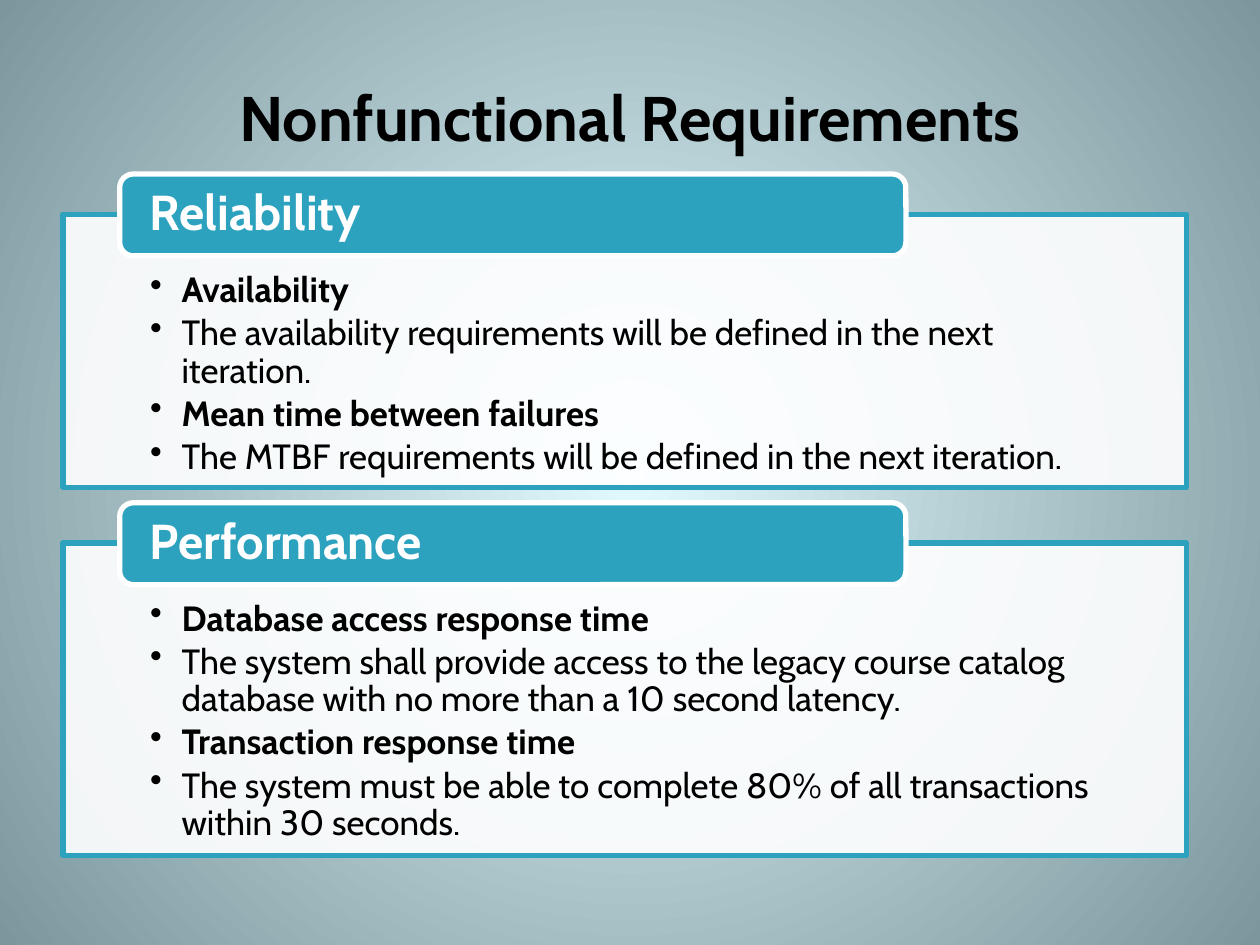
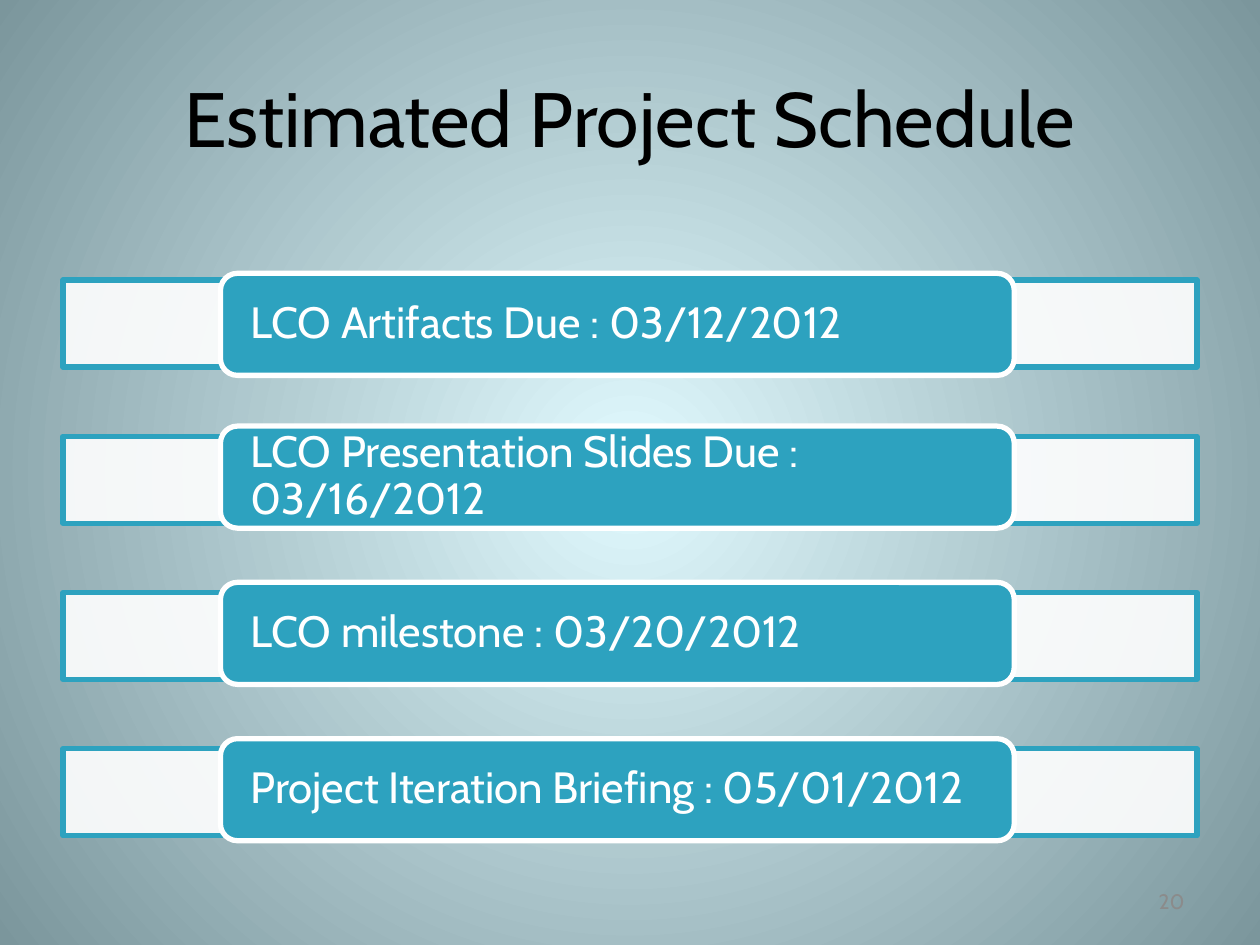
"""Build the requirements and schedule slides of a project presentation."""
from dataclasses import dataclass
from typing import Any

from lxml import etree
from pptx import Presentation
from pptx import util as u
from pptx.dml import color as c
from pptx.enum import shapes, text
from pptx.oxml import ns

COLORS = {
    "glow": "E1FAFF",
    "edge": "7B969C",
    "accent": "2DA2BF",
    "white": "FFFFFF",
    "black": "000000",
    "number": "8B8B8B",
}
FONT = "Cabin"
OUTLINE_WIDTH = 3
LABEL_INSET = 17.3
CORNER_INSET_RATIO = 0.05
MIDDLE = text.MSO_ANCHOR.MIDDLE


@dataclass(frozen=True)
class Box:
    left: float
    top: float
    width: float
    height: float

    def lengths(self) -> list[u.Length]:
        return [u.Pt(value) for value in (self.left, self.top, self.width, self.height)]


@dataclass(frozen=True)
class TextStyle:
    size: float
    color: str
    bold: bool = False
    align: Any = text.PP_ALIGN.LEFT
    line_spacing: float = 1.0
    space_after: float = 0


@dataclass(frozen=True)
class Requirement:
    name: str
    detail: str


@dataclass(frozen=True)
class Panel:
    heading: str
    height: float
    requirements: tuple[Requirement, ...]


@dataclass(frozen=True)
class Milestone:
    label: str
    card_rise: float = 5.8


TITLE_BOX = Box(36, 21.6, 648, 90)
NUMBER_BOX = Box(516, 500.5, 168, 28.8)
NUMBER_STYLE = TextStyle(12, "number", align=text.PP_ALIGN.RIGHT)
HEADING_STYLE = TextStyle(28, "white", True, line_spacing=0.9, space_after=9.8)
MILESTONE_STYLE = TextStyle(25, "white", line_spacing=0.9, space_after=8.75)

PANELS = (
    Panel("Reliability", 156.2, (
        Requirement("Availability",
                    "The availability requirements will be defined in the next iteration."),
        Requirement("Mean time between failures",
                    "The MTBF requirements will be defined in the next iteration."),
    )),
    Panel("Performance", 178.6, (
        Requirement("Database access response time",
                    "The system shall provide access to the legacy course catalog "
                    "database with no more than a 10 second latency."),
        Requirement("Transaction response time",
                    "The system must be able to complete 80% of all transactions "
                    "within 30 seconds."),
    )),
)
MILESTONES = (
    Milestone("LCO Artifacts Due : 03/12/2012", card_rise=3.8),
    Milestone("LCO Presentation Slides Due : 03/16/2012"),
    Milestone("LCO milestone : 03/20/2012"),
    Milestone("Project Iteration Briefing : 05/01/2012"),
)


def rgb(name: str) -> c.RGBColor:
    return c.RGBColor.from_string(COLORS[name])


def apply_format(target: Any, values: dict[str, Any]) -> None:
    for name, value in values.items():
        setattr(target, name, value)


def write(paragraph: Any, words: str, style: TextStyle) -> None:
    apply_format(paragraph, {
        "alignment": style.align,
        "line_spacing": style.line_spacing,
        "space_after": u.Pt(style.space_after),
    })
    run = paragraph.add_run()
    run.text = words
    apply_format(run.font, {"name": FONT, "size": u.Pt(style.size), "bold": style.bold})
    run.font.color.rgb = rgb(style.color)


def add_bullet(paragraph: Any) -> None:
    paragraph.level = 1
    properties = paragraph._p.get_or_add_pPr()
    properties.set("marL", str(u.Pt(18)))
    properties.set("indent", str(u.Pt(-18)))
    etree.SubElement(properties, ns.qn("a:buChar"), char="•")


def add_text(slide: Any, box: Box, words: str, style: TextStyle) -> None:
    frame = slide.shapes.add_textbox(*box.lengths()).text_frame
    apply_format(frame, {"word_wrap": True, "vertical_anchor": MIDDLE})
    write(frame.paragraphs[0], words, style)


def add_title(slide: Any, words: str, size: float, bold: bool) -> None:
    add_text(slide, TITLE_BOX, words,
             TextStyle(size, "black", bold, text.PP_ALIGN.CENTER))


def add_outlined(slide: Any, kind: Any, box: Box, fill: str, line: str) -> Any:
    shape = slide.shapes.add_shape(kind, *box.lengths())
    shape.shadow.inherit = False
    shape.fill.solid()
    shape.fill.fore_color.rgb = rgb(fill)
    shape.line.width = u.Pt(OUTLINE_WIDTH)
    shape.line.color.rgb = rgb(line)
    return shape


def add_backing(slide: Any, box: Box) -> Any:
    shape = add_outlined(slide, shapes.MSO_SHAPE.RECTANGLE, box, "white", "accent")
    fill_color = shape._element.spPr.find(f"{ns.qn('a:solidFill')}/{ns.qn('a:srgbClr')}")
    etree.SubElement(fill_color, ns.qn("a:alpha"), val="90000")
    return shape


def add_label(slide: Any, box: Box, words: str, style: TextStyle) -> None:
    shape = add_outlined(slide, shapes.MSO_SHAPE.ROUNDED_RECTANGLE, box, "accent", "white")
    inset = u.Pt(LABEL_INSET - CORNER_INSET_RATIO * box.height)
    apply_format(shape.text_frame, {
        "word_wrap": True, "vertical_anchor": MIDDLE,
        "margin_left": inset, "margin_right": inset,
        "margin_top": 0, "margin_bottom": 0,
    })
    write(shape.text_frame.paragraphs[0], words, style)


def add_panel(slide: Any, panel: Panel, top: float) -> None:
    frame = add_backing(slide, Box(36, top, 642, panel.height)).text_frame
    apply_format(frame, {
        "word_wrap": True, "vertical_anchor": text.MSO_ANCHOR.TOP,
        "margin_left": u.Pt(49.8), "margin_right": u.Pt(49.8),
        "margin_top": u.Pt(33), "margin_bottom": u.Pt(11.5),
    })
    lines = [line for requirement in panel.requirements
             for line in ((requirement.name, True), (requirement.detail, False))]
    for index, (words, bold) in enumerate(lines):
        paragraph = frame.add_paragraph() if index else frame.paragraphs[0]
        write(paragraph, words,
              TextStyle(20, "black", bold, line_spacing=0.9, space_after=3))
        add_bullet(paragraph)
    add_label(slide, Box(68.4, top - 23, 449.3, 46.8), panel.heading, HEADING_STYLE)


def set_background(master: Any) -> None:
    fill = master.background.fill
    fill.gradient()
    for stop, name, position in zip(fill.gradient_stops, ("glow", "edge"), (0, 1)):
        stop.color.rgb = rgb(name)
        stop.position = position
    gradient = master.element.find(f".//{ns.qn('a:gradFill')}")
    gradient.remove(gradient.find(ns.qn("a:lin")))
    circle = etree.SubElement(gradient, ns.qn("a:path"), path="circle")
    etree.SubElement(circle, ns.qn("a:fillToRect"),
                     {side: "50000" for side in "ltrb"})


def build_requirements(slide: Any) -> None:
    add_title(slide, "Nonfunctional Requirements", 36, True)
    top = 122.4
    for panel in PANELS:
        add_panel(slide, panel, top)
        top += panel.height + 31.7


def build_schedule(slide: Any) -> None:
    add_title(slide, "Estimated Project Schedule", 44, False)
    for index, milestone in enumerate(MILESTONES):
        top = 160 + index * 89.3
        add_backing(slide, Box(36, top, 648, 49.7))
        add_label(slide, Box(126, top - milestone.card_rise, 453.6, 58.3),
                  milestone.label, MILESTONE_STYLE)
    add_text(slide, NUMBER_BOX, "20", NUMBER_STYLE)


def main() -> None:
    presentation = Presentation()
    apply_format(presentation, {"slide_width": u.Pt(720), "slide_height": u.Pt(540)})
    set_background(presentation.slide_master)
    for build in (build_requirements, build_schedule):
        build(presentation.slides.add_slide(presentation.slide_layouts[6]))
    presentation.save("out.pptx")


if __name__ == "__main__":
    main()
